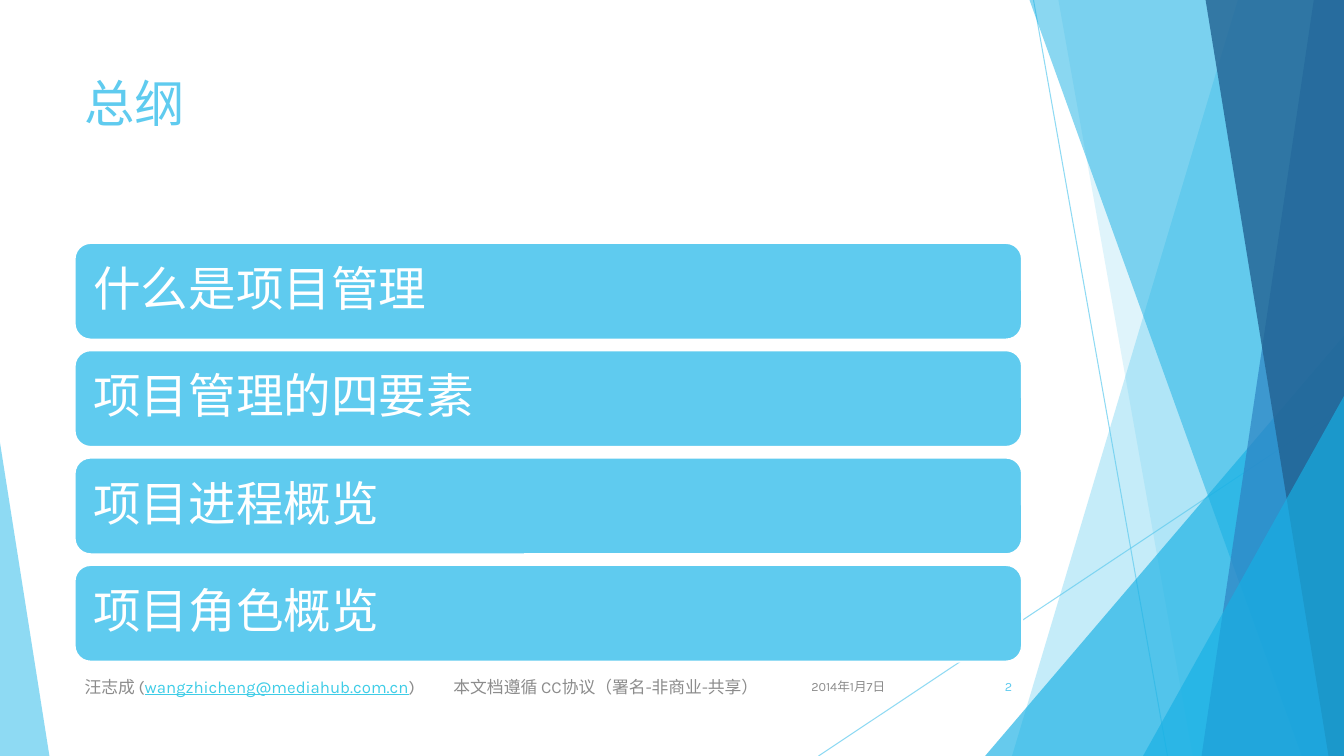
import pptx
import pptx.util
import pptx.dml.color
import pptx.enum.shapes
import pptx.enum.text
import pptx.oxml
import pptx.oxml.ns
from dataclasses import dataclass

SHAPES = pptx.enum.shapes.MSO_SHAPE
ANCHOR = pptx.enum.text.MSO_ANCHOR
ALIGN = pptx.enum.text.PP_ALIGN


@dataclass(frozen=True)
class Theme:
    font: str = "Karla"
    sky: str = "5FCBEF"
    cyan: str = "17B0E4"
    blue: str = "2E83C3"
    navy: str = "226292"
    link: str = "3FCDE7"
    gray: str = "8C8C8C"
    white: str = "FFFFFF"
    title: int = 36
    item: int = 34
    footer: int = 12
    small: int = 9


class SlideBuilder:
    """Draws on one slide; every length is a percentage of the slide's size."""

    def __init__(self, presentation, theme):
        self.theme = theme
        self.width = presentation.slide_width
        self.height = presentation.slide_height
        self.slide = presentation.slides.add_slide(presentation.slide_layouts[6])
        self.shapes = self.slide.shapes

    def x(self, share):
        return round(self.width * share / 100)

    def y(self, share):
        return round(self.height * share / 100)

    def box(self, left, top, width, height):
        return self.x(left), self.y(top), self.x(width), self.y(height)

    def set_alpha(self, color_parent, opacity):
        color = color_parent.find(".//" + pptx.oxml.ns.qn("a:srgbClr"))
        pptx.oxml.ns.qn("a:alpha")
        alpha = color.makeelement(pptx.oxml.ns.qn("a:alpha"), {"val": str(opacity * 1000)})
        color.append(alpha)

    def paint(self, shape, color, opacity=100):
        shape.shadow.inherit = False
        shape.fill.solid()
        shape.fill.fore_color.rgb = pptx.dml.color.RGBColor.from_string(color)
        shape.line.fill.background()
        if opacity < 100:
            self.set_alpha(shape.fill._xPr, opacity)

    def line(self, start, end):
        connector = self.shapes.add_connector(
            pptx.enum.shapes.MSO_CONNECTOR.STRAIGHT,
            self.x(start[0]), self.y(start[1]), self.x(end[0]), self.y(end[1]))
        connector.line.width = pptx.util.Pt(0.75)
        connector.line.color.rgb = pptx.dml.color.RGBColor.from_string(self.theme.sky)
        properties = connector._element.spPr
        self.set_alpha(properties, 70)
        properties.append(pptx.oxml.parse_xml(
            "<a:effectLst %s/>" % pptx.oxml.ns.nsdecls("a")))

    def shard(self, top_x, bottom_x, color, opacity):
        """A slanted band reaching the right edge of the slide."""
        builder = self.shapes.build_freeform(self.x(top_x), 0)
        corners = [(100, 0), (100, 100), (bottom_x, 100)]
        builder.add_line_segments([(self.x(x), self.y(y)) for x, y in corners])
        self.paint(builder.convert_to_shape(), color, opacity)

    def triangle(self, left, right, top, apex, color, opacity):
        """A triangle standing on the bottom edge of the slide."""
        shape = self.shapes.add_shape(
            SHAPES.ISOSCELES_TRIANGLE, *self.box(left, top, right - left, 100 - top))
        shape.adjustments[0] = apex
        self.paint(shape, color, opacity)

    def style_run(self, run, size, color):
        run.font.name = self.theme.font
        run.font.size = pptx.util.Pt(size)
        run.font.color.rgb = pptx.dml.color.RGBColor.from_string(color)

    def text(self, bounds, pieces, size, align=ALIGN.LEFT, anchor=ANCHOR.MIDDLE, tab=None):
        """A text box with one paragraph of (text, color, underline) pieces."""
        frame = self.shapes.add_textbox(*self.box(*bounds)).text_frame
        frame.word_wrap = True
        frame.vertical_anchor = anchor
        paragraph = frame.paragraphs[0]
        paragraph.alignment = align
        if tab:
            paragraph._p.get_or_add_pPr().append(pptx.oxml.parse_xml(
                '<a:tabLst %s><a:tab pos="%d" algn="l"/></a:tabLst>'
                % (pptx.oxml.ns.nsdecls("a"), self.x(tab))))
        for words, color, underline in pieces:
            run = paragraph.add_run()
            run.text = words
            self.style_run(run, size, color)
            run.font.underline = underline

    def bar(self, bounds, words):
        shape = self.shapes.add_shape(SHAPES.ROUNDED_RECTANGLE, *self.box(*bounds))
        self.paint(shape, self.theme.sky)
        shape.line.color.rgb = pptx.dml.color.RGBColor.from_string(self.theme.white)
        shape.line.width = pptx.util.Pt(1.5)
        frame = shape.text_frame
        frame.text = words
        frame.word_wrap = True
        frame.vertical_anchor = ANCHOR.MIDDLE
        frame.margin_left = frame.margin_right = pptx.util.Inches(0.14)
        frame.margin_top = frame.margin_bottom = pptx.util.Inches(0.14)
        paragraph = frame.paragraphs[0]
        paragraph.alignment = ALIGN.LEFT
        paragraph.line_spacing = 0.9
        self.style_run(paragraph.runs[0], self.theme.item, self.theme.white)


def main():
    presentation = pptx.Presentation()
    presentation.slide_width = pptx.util.Inches(13.33)
    presentation.slide_height = pptx.util.Inches(7.5)
    theme = Theme()
    builder = SlideBuilder(presentation, theme)

    # Background facets
    builder.line((76.9, 0), (86.87, 100))
    builder.line((100, 53.73), (60.9, 100))
    builder.shard(92.1, 75.3, theme.sky, 36)
    builder.shard(78.75, 88.75, theme.sky, 20)
    builder.triangle(73.3, 100, 44.4, 1, theme.cyan, 66)
    builder.shard(76.6, 96.85, theme.cyan, 50)
    builder.shard(97.75, 89.4, theme.blue, 70)
    builder.shard(89.7, 98.85, theme.navy, 80)
    builder.triangle(85.05, 100, 52.4, 1, theme.cyan, 66)
    builder.triangle(0, 3.68, 58.53, 0, theme.sky, 70)

    # Title
    left, width = 5.55, 70.5
    builder.text((left, 8.93, width, 19.2), [("总纲", theme.sky, False)],
                 theme.title, anchor=ANCHOR.TOP)

    # Agenda bars
    first_top, pitch, height = 32.13, 14.2, 12.8
    topics = ["什么是项目管理", "项目管理的四要素", "项目进程概览", "项目角色概览"]
    for row, topic in enumerate(topics):
        builder.bar((left, first_top + row * pitch, width, height), topic)

    # Footer: date, slide number, author and licence
    top, height = 88.13, 5.33
    builder.text((59.1, top, 7.5, height), [("2014年1月7日", theme.gray, False)],
                 theme.small, ALIGN.RIGHT)
    builder.text((70.45, top, 5.6, height), [("2", theme.sky, False)],
                 theme.small, ALIGN.RIGHT)
    author = [("汪志成 (", theme.gray, False),
              ("wangzhicheng@mediahub.com.cn", theme.link, True),
              (")\t本文档遵循 CC协议（署名-非商业-共享）", theme.gray, False)]
    builder.text((left, top, 51.7, height), author, theme.footer, tab=27.45)

    presentation.save("out.pptx")


if __name__ == "__main__":
    main()
